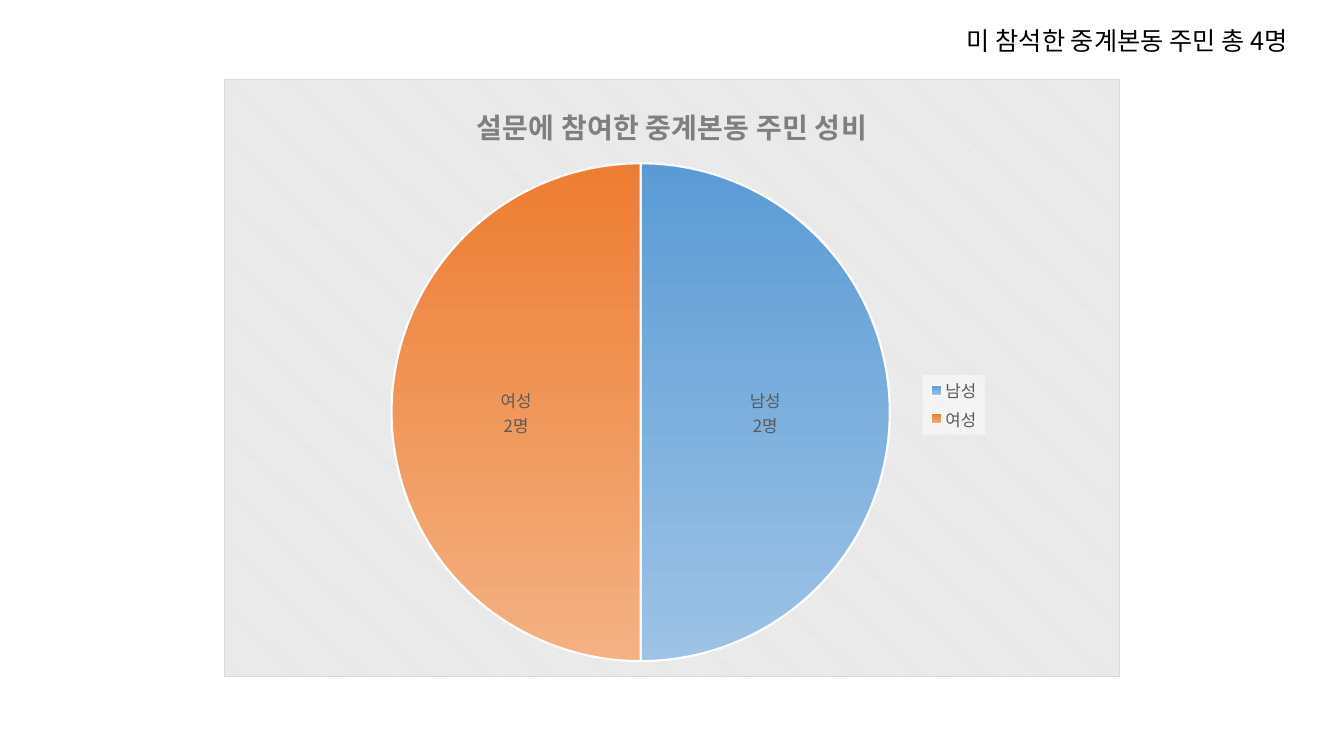
from lxml import etree
from pptx import Presentation, util as u
from pptx.chart.data import CategoryChartData
from pptx.dml.color import RGBColor
from pptx.enum import chart as ch, dml, text
from pptx.oxml import parse_xml
from pptx.oxml.ns import nsdecls, qn

BLACK = RGBColor(0x00, 0x00, 0x00)
WHITE = RGBColor(0xFF, 0xFF, 0xFF)
GRAY = RGBColor(0x59, 0x59, 0x59)
MID = RGBColor(0x7F, 0x7F, 0x7F)
RULE = RGBColor(0xD9, 0xD9, 0xD9)
PALE = RGBColor(0xE6, 0xE6, 0xE6)
BLUE = RGBColor(0x5B, 0x9B, 0xD5)
SKY = RGBColor(0x9D, 0xC3, 0xE6)
ORANGE = RGBColor(0xED, 0x7D, 0x31)
PEACH = RGBColor(0xF4, 0xB1, 0x83)
FONT = "Noto Sans CJK KR"


def style(font, size, color=BLACK, bold=False):
    font.name = FONT
    font.size = u.Pt(size)
    font.bold = bold
    font.color.rgb = color
    latin = font._element.find(qn("a:latin"))
    east = etree.Element(qn("a:ea"), typeface=FONT)
    latin.addnext(east)


def write(frame, words, **form):
    run = frame.paragraphs[0].add_run()
    run.text = words
    style(run.font, **form)


def layout(x, y, w, h, inner=False):
    target = '<c:layoutTarget val="inner"/>' if inner else ""
    return parse_xml(
        f'<c:layout {nsdecls("c")}><c:manualLayout>{target}'
        '<c:xMode val="edge"/><c:yMode val="edge"/>'
        f'<c:x val="{x}"/><c:y val="{y}"/><c:w val="{w}"/><c:h val="{h}"/>'
        '</c:manualLayout></c:layout>')


def place(part, after, box):
    for old in part.findall(qn("c:layout")):
        part.remove(old)
    if after is None:
        part.insert(0, box)
    else:
        after.addnext(box)


class Board:
    def __init__(self, deck):
        self.wide, self.high = deck.slide_width, deck.slide_height
        self.slide = deck.slides.add_slide(deck.slide_layouts[6])

    def box(self, x, y, w, h):
        return (int(self.wide * x), int(self.high * y),
                int(self.wide * w), int(self.high * h))

    def note(self, words, area, **form):
        frame = self.slide.shapes.add_textbox(*self.box(*area)).text_frame
        frame.word_wrap = False
        frame.auto_size = text.MSO_AUTO_SIZE.SHAPE_TO_FIT_TEXT
        write(frame, words, **form)

    def pie(self, title, values, ramps, area):
        data = CategoryChartData()
        data.categories = list(values)
        data.add_series("Series 1", list(values.values()))
        chart = self.slide.shapes.add_chart(
            ch.XL_CHART_TYPE.PIE, *self.box(*area), data).chart
        style(chart.font, 10)
        write(chart.chart_title.text_frame, title, size=20, color=MID, bold=True)
        chart.chart_title.include_in_layout = False

        plot = chart.plots[0]
        plot.vary_by_categories = True
        for i, ramp in enumerate(ramps):
            face = plot.series[0].points[i].format
            face.fill.gradient()
            face.fill.gradient_angle = 270
            for stop, color, spot in zip(face.fill.gradient_stops, ramp, (0, 1)):
                stop.color.rgb = color
                stop.position = spot
            face.line.color.rgb = WHITE
            face.line.width = u.Pt(1.5)
        self.label(plot)
        self.legend(chart)
        zone = chart._chartSpace.chart.plotArea
        place(zone, None, layout(0.185, 0.14, 0.56, 0.835, True))
        self.ground(chart)

    def label(self, plot):
        plot.has_data_labels = True
        tags = plot.data_labels
        tags.show_category_name = tags.show_value = True
        tags.show_percentage = False
        tags.number_format = '0"명"'
        tags.number_format_is_linked = False
        tags.position = ch.XL_LABEL_POSITION.CENTER
        style(tags.font, 12, GRAY)
        mark = etree.Element(qn("c:separator"))
        mark.text = "\n"
        tags._element.find(qn("c:showBubbleSize")).addnext(mark)

    def legend(self, chart):
        chart.has_legend = True
        key = chart.legend
        key.position = ch.XL_LEGEND_POSITION.RIGHT
        key.include_in_layout = False
        style(key.font, 12, GRAY)
        node = key._element
        place(node, node.find(qn("c:legendPos")), layout(0.78, 0.495, 0.07, 0.1))
        node.find(qn("c:txPr")).addprevious(parse_xml(
            f'<c:spPr {nsdecls("c", "a")}><a:solidFill><a:srgbClr val="{WHITE}">'
            '<a:alpha val="50000"/></a:srgbClr></a:solidFill></c:spPr>'))

    def ground(self, chart):
        chart._chartSpace.find(qn("c:txPr")).addprevious(parse_xml(
            f'<c:spPr {nsdecls("c", "a")}><a:pattFill prst="dkDnDiag">'
            f'<a:fgClr><a:srgbClr val="{WHITE}"/></a:fgClr>'
            f'<a:bgClr><a:srgbClr val="{PALE}"/></a:bgClr></a:pattFill>'
            f'<a:ln w="{u.Pt(0.75)}"><a:solidFill><a:srgbClr val="{RULE}"/>'
            '</a:solidFill></a:ln></c:spPr>'))


def main():
    deck = Presentation()
    deck.slide_width, deck.slide_height = u.Inches(13.33), u.Inches(7.5)
    board = Board(deck)
    board.pie("설문에 참여한 중계본동 주민 성비", {"남성": 2, "여성": 2},
              ((BLUE, SKY), (ORANGE, PEACH)), (1 / 6, 0.105, 2 / 3, 0.79))
    board.note("미 참석한 중계본동 주민 총 4명", (0.712, 0.027, 0.297, 0.053), size=18)
    deck.save("out.pptx")


if __name__ == "__main__":
    main()
